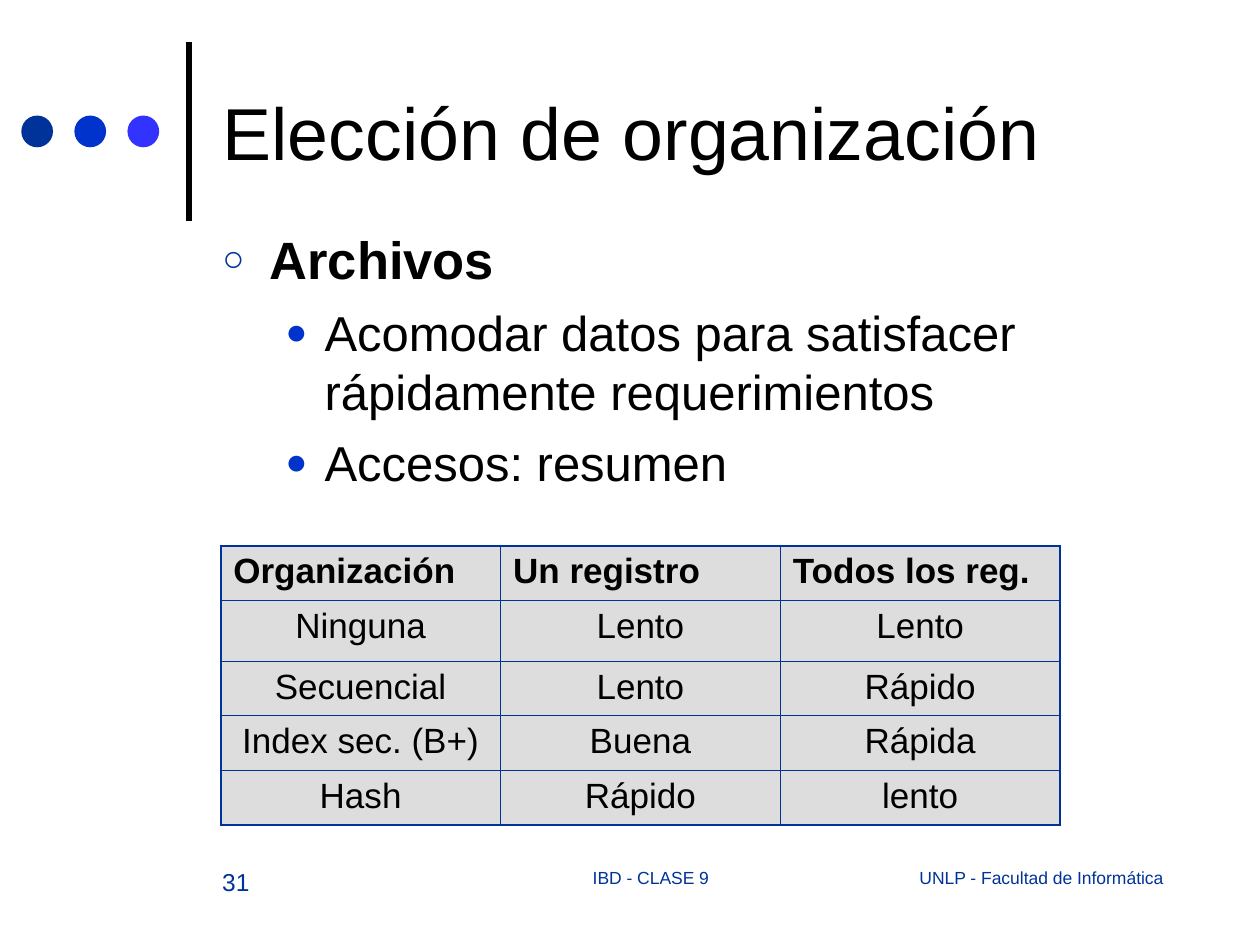
from lxml.etree import SubElement
from pptx import Presentation
from pptx.dml.color import RGBColor
from pptx.enum.shapes import MSO_CONNECTOR as Connector, MSO_SHAPE as Shape
from pptx.enum.text import MSO_ANCHOR as Anchor, MSO_AUTO_SIZE as AutoSize, PP_ALIGN as Align
from pptx.oxml import parse_xml
from pptx.oxml.ns import nsdecls, qn
from pptx.util import Cm, Pt

BLACK, NAVY, BLUE, VIOLET, GREY = "000000", "003399", "0033CC", "3333FF", "DDDDDD"
THIN, THICK = 0.45, 1.08


def color(hex_string):
    return RGBColor.from_string(hex_string)


def place(shape, left, top, width, height):
    shape.left, shape.top, shape.width, shape.height = map(Cm, (left, top, width, height))


class SlideBuilder:
    """Holds the font and the slide that each method draws on."""

    def __init__(self, slide, font="Arial"):
        self.slide = slide
        self.font = font

    def format_text(self, paragraph, size, hex_string=BLACK, bold=False, align=Align.LEFT, before=0):
        paragraph.alignment = align
        paragraph.space_before = Pt(before)
        for run in paragraph.runs:
            run.font.name, run.font.size, run.font.bold = self.font, Pt(size), bold
            run.font.color.rgb = color(hex_string)

    def line(self, x1, y1, x2, y2, width):
        connector = self.slide.shapes.add_connector(
            Connector.STRAIGHT, Cm(x1), Cm(y1), Cm(x2), Cm(y2))
        connector.line.color.rgb = color(BLACK)
        connector.line.width = Pt(width)
        SubElement(connector._element.spPr, qn("a:effectLst"))

    def dot(self, left, top, diameter, hex_string):
        dot = self.slide.shapes.add_shape(
            Shape.OVAL, Cm(left), Cm(top), Cm(diameter), Cm(diameter))
        dot.shadow.inherit = False
        dot.fill.solid()
        dot.fill.fore_color.rgb = color(hex_string)
        dot.line.fill.background()

    def title(self, text, box):
        title = self.slide.shapes.title
        place(title, *box)
        frame = title.text_frame
        frame.text = text
        frame.auto_size = AutoSize.NONE
        frame.vertical_anchor = Anchor.MIDDLE
        self.format_text(frame.paragraphs[0], 42)

    def bullet(self, paragraph, character, hex_string, percent, margin, hanging):
        properties = paragraph._p.get_or_add_pPr()
        properties.set("marL", str(Cm(margin)))
        properties.set("indent", str(-Cm(hanging)))
        bullet_color = SubElement(properties, qn("a:buClr"))
        SubElement(bullet_color, qn("a:srgbClr"), val=hex_string)
        SubElement(properties, qn("a:buSzPct"), val=str(percent * 1000))
        SubElement(properties, qn("a:buFont"), typeface=self.font)
        SubElement(properties, qn("a:buChar"), char=character)

    def body(self, heading, items, box):
        body = self.slide.placeholders[1]
        place(body, *box)
        frame = body.text_frame
        frame.text = "\n".join([heading, *items])
        frame.auto_size = AutoSize.NONE
        first, *rest = frame.paragraphs
        self.format_text(first, 30, bold=True, before=7.5)
        self.bullet(first, "○", NAVY, 70, 0.95, 0.95)
        for paragraph in rest:
            paragraph.level = 1
            self.format_text(paragraph, 28, before=7)
            self.bullet(paragraph, "●", BLUE, 75, 2.06, 0.79)

    def cell_borders(self, cell, widths):
        """Draw the borders; widths maps the sides L, R, T and B to points."""
        properties = cell._tc.get_or_add_tcPr()
        for index, side in enumerate("LRTB"):
            properties.insert(index, parse_xml(
                f'<a:ln{side} {nsdecls("a")} w="{Pt(widths[side])}"><a:solidFill>'
                f'<a:srgbClr val="{NAVY}"/></a:solidFill></a:ln{side}>'))

    def table(self, rows, left, top, column_width, row_heights):
        last_row, last_column = len(rows) - 1, len(rows[0]) - 1
        table = self.slide.shapes.add_table(
            len(rows), len(rows[0]), Cm(left), Cm(top),
            Cm(column_width * len(rows[0])), Cm(sum(row_heights))).table
        for column in table.columns:
            column.width = Cm(column_width)
        for r, (texts, height) in enumerate(zip(rows, row_heights)):
            table.rows[r].height = Cm(height)
            for c, text in enumerate(texts):
                cell = table.cell(r, c)
                cell.text_frame.text = text
                self.format_text(cell.text_frame.paragraphs[0], 20, bold=r == 0,
                                 align=Align.CENTER if r else Align.LEFT, before=5)
                cell.fill.solid()
                cell.fill.fore_color.rgb = color(GREY)
                outer = {"L": c == 0, "R": c == last_column, "T": r == 0, "B": r == last_row}
                self.cell_borders(cell, {side: THICK if edge else THIN
                                         for side, edge in outer.items()})

    def footer(self, text, left, width, size, align):
        box = self.slide.shapes.add_textbox(Cm(left), Cm(17.35), Cm(width), Cm(1.27))
        frame = box.text_frame
        frame.word_wrap = True
        frame.text = text
        self.format_text(frame.paragraphs[0], size, NAVY, align=align)


def main():
    presentation = Presentation()
    presentation.slide_width, presentation.slide_height = Cm(25.4), Cm(19.05)
    builder = SlideBuilder(presentation.slides.add_slide(presentation.slide_layouts[1]))

    builder.line(3.81, 4.45, 3.81, 0.85, 3)
    for index, hex_string in enumerate((NAVY, BLUE, VIOLET)):
        builder.dot(0.43 + 1.07 * index, 2.33, 0.64, hex_string)

    builder.title("Elección de organización", (4.23, 0.53, 19.48, 4.23))
    builder.body("Archivos",
                 ["Acomodar datos para satisfacer rápidamente requerimientos",
                  "Accesos: resumen"],
                 (4.23, 4.45, 19.48, 11.43))
    builder.table([["Organización", "Un registro", "Todos los reg."],
                   ["Ninguna", "Lento", "Lento"],
                   ["Secuencial", "Lento", "Rápido"],
                   ["Index sec. (B+)", "Buena", "Rápida"],
                   ["Hash", "Rápido", "lento"]],
                  4.45, 11, 5.64, [1.1, 1.23, 1.1, 1.1, 1.1])

    builder.footer("IBD - CLASE 9", 9.1, 8.04, 10, Align.CENTER)
    builder.footer("31", 4.23, 3.6, 14, Align.LEFT)
    builder.footer("UNLP - Facultad de Informática", 16.9, 6.8, 10, Align.RIGHT)
    presentation.save("out.pptx")


if __name__ == "__main__":
    main()
